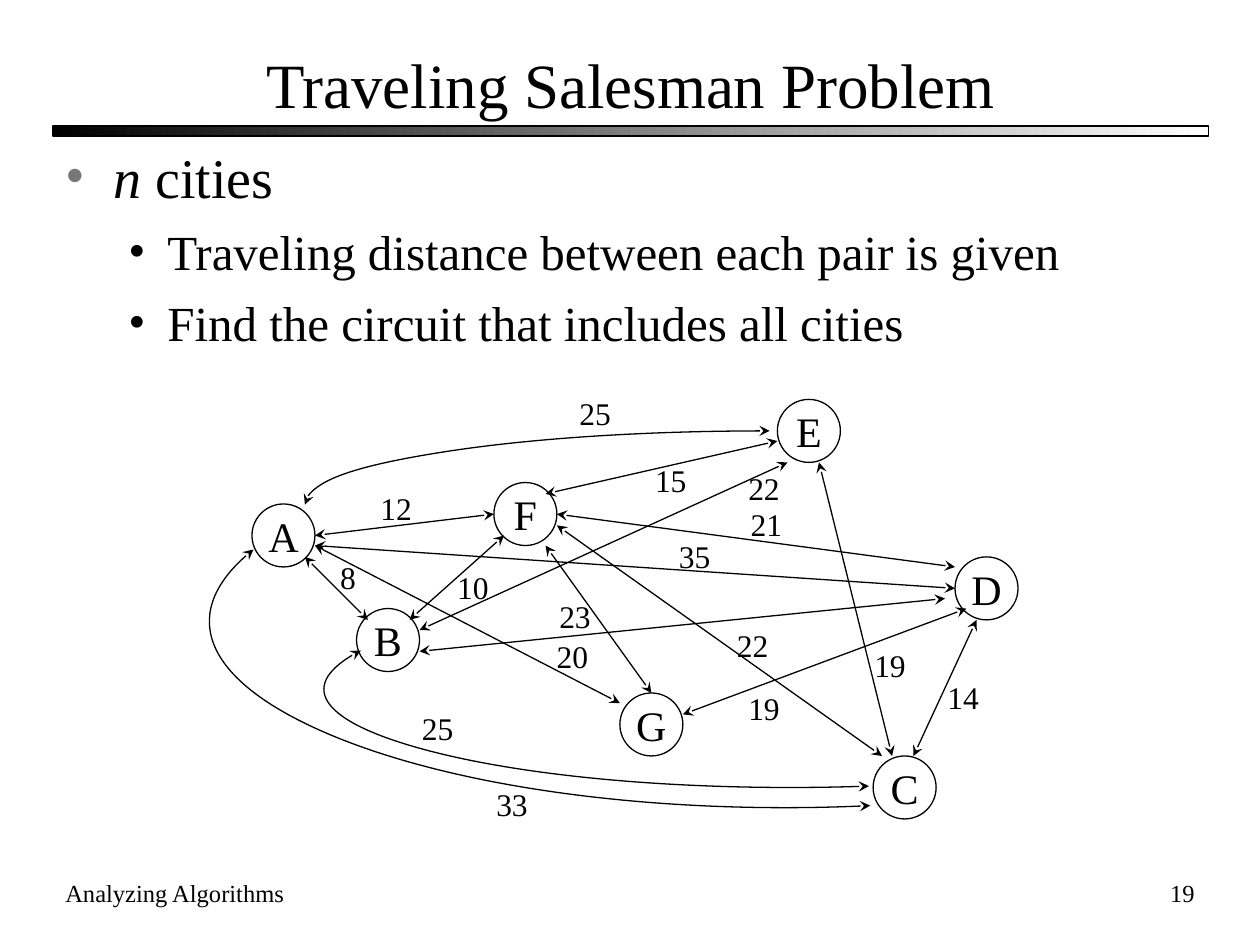
from math import cos, radians, sin, tan

from lxml import etree
from pptx import Presentation
from pptx.dml.color import RGBColor
from pptx.enum.shapes import MSO_CONNECTOR, MSO_SHAPE
from pptx.enum.text import MSO_ANCHOR, PP_ALIGN
from pptx.oxml.ns import qn
from pptx.util import Inches, Pt

STRAIGHT = MSO_CONNECTOR.STRAIGHT
OVAL, RECTANGLE = MSO_SHAPE.OVAL, MSO_SHAPE.RECTANGLE
TOP, MIDDLE = MSO_ANCHOR.TOP, MSO_ANCHOR.MIDDLE
LEFT, CENTER, RIGHT = PP_ALIGN.LEFT, PP_ALIGN.CENTER, PP_ALIGN.RIGHT

FONT = "Times New Roman"
BLACK, GREY, WHITE = "000000", "777777", "FFFFFF"
MARGIN, CONTENT_WIDTH = 0.42, 9.17
CITY_SIZE = 0.5

# Top left corner of each city
CITIES = {"A": (2, 4), "C": (6.93, 6), "D": (7.58, 4.42), "G": (4.92, 5.5),
          "B": (2.83, 4.83), "E": (6.17, 3.17), "F": (3.92, 3.83)}

# Start and end of each straight road
ROADS = [
    ((2.42, 4.42), (2.92, 4.92)),  # A-B
    ((2.5, 4.25), (3.92, 4.08)),   # A-F
    ((2.5, 4.33), (4.92, 5.58)),   # A-G
    ((2.5, 4.33), (7.58, 4.67)),   # A-D
    ((4, 4.25), (3.25, 4.92)),     # F-B
    ((4.42, 4.17), (7, 6)),        # F-C
    ((4.42, 4.08), (7.58, 4.5)),   # F-D
    ((4.33, 3.92), (6.17, 3.5)),   # F-E
    ((3.33, 5.17), (7.5, 4.75)),   # B-D
    ((3.33, 5), (6.25, 3.67)),     # B-E
    ((7.75, 4.92), (7.25, 6)),     # D-C
    ((6.5, 3.67), (7.08, 6)),      # E-C
    ((5.42, 5.67), (7.67, 4.83)),  # G-D
    ((4.33, 4.33), (5.17, 5.5)),   # F-G
]

# Ellipse box (left, top, width, height) and angles of each curved road
CURVES = [
    ((2.42, 3.42, 7.34, 1.17), (270.3, 180)),    # E-A
    ((1.67, 3.44, 9.14, 2.97), (81.6, 202.3)),   # C-A
    ((2.58, 4.68, 7.4, 1.57), (80.4, 202.6)),    # C-B
]

# Distance and the top left corner of its label
DISTANCES = [
    ("8", 2.6, 4.38), ("12", 2.92, 3.83), ("20", 4.32, 5.01),
    ("25", 4.5, 3.08), ("35", 5.29, 4.21), ("33", 3.84, 6.18),
    ("10", 3.53, 4.46), ("22", 5.75, 4.92), ("21", 5.86, 3.96),
    ("15", 5.1, 3.61), ("25", 3.25, 5.58), ("23", 4.34, 4.69),
    ("22", 5.84, 3.67), ("14", 7.42, 5.33), ("19", 6.84, 5.08),
    ("19", 5.84, 5.42),
]


def color(value):
    return RGBColor.from_string(value)


def inches(*lengths):
    return [Inches(length) for length in lengths]


def style_font(font, size):
    font.name = FONT
    font.size = Pt(size)
    font.color.rgb = color(BLACK)


def outline(shape):
    shape.line.color.rgb = color(BLACK)
    shape.line.width = Pt(0.75)


def add_text(page, text, place, size, align=LEFT, anchor=TOP, wrap=True):
    box = page.shapes.add_textbox(*inches(*place))
    frame = box.text_frame
    frame.word_wrap = wrap
    frame.vertical_anchor = anchor
    frame.text = text
    para = frame.paragraphs[0]
    para.alignment = align
    style_font(para.runs[0].font, size)


def add_bullet(para, level, margin, hanging, tint):
    para.level = level
    properties = para._p.get_or_add_pPr()
    properties.set("marL", str(Inches(margin)))
    properties.set("indent", str(-Inches(hanging)))
    bullet_color = etree.SubElement(properties, qn("a:buClr"))
    etree.SubElement(bullet_color, qn("a:srgbClr"), val=tint)
    etree.SubElement(properties, qn("a:buFont"), typeface=FONT)
    etree.SubElement(properties, qn("a:buChar"), char="•")


def add_body(page):
    box = page.shapes.add_textbox(*inches(MARGIN, 1.08, CONTENT_WIDTH, 2.25))
    frame = box.text_frame
    frame.word_wrap = True
    lead = frame.paragraphs[0]
    add_bullet(lead, 0, 0.38, 0.38, GREY)
    for text, italic in (("n ", True), ("cities", False)):
        span = lead.add_run()
        span.text = text
        style_font(span.font, 32)
        span.font.italic = italic
    for text in ("Traveling distance between each pair is given",
                 "Find the circuit that includes all cities"):
        para = frame.add_paragraph()
        para.text = text
        para.space_before = Pt(7)
        add_bullet(para, 1, 0.81, 0.31, BLACK)
        style_font(para.runs[0].font, 28)


def add_rule(page):
    bar = page.shapes.add_shape(
        RECTANGLE, *inches(MARGIN, 1, CONTENT_WIDTH, 0.08))
    bar.shadow.inherit = False
    bar.fill.gradient()
    bar.fill.gradient_angle = 180
    for stop, tint, position in zip(bar.fill.gradient_stops,
                                    (WHITE, BLACK), (0, 1)):
        stop.color.rgb = color(tint)
        stop.position = position
    outline(bar)


def add_city(page, name, left, top):
    city = page.shapes.add_shape(
        OVAL, *inches(left, top, CITY_SIZE, CITY_SIZE))
    city.shadow.inherit = False
    city.fill.background()
    outline(city)
    frame = city.text_frame
    frame.word_wrap = False
    frame.vertical_anchor = MIDDLE
    frame.text = name
    para = frame.paragraphs[0]
    para.alignment = CENTER
    style_font(para.runs[0].font, 24)


def add_arrowheads(road):
    outline(road)
    line = road.line._get_or_add_ln()
    for end in ("a:headEnd", "a:tailEnd"):
        etree.SubElement(line, qn(end), type="stealth")


def add_road(page, start, end):
    road = page.shapes.add_connector(STRAIGHT, *inches(*start, *end))
    add_arrowheads(road)
    etree.SubElement(road._element.spPr, qn("a:effectLst"))


def add_curve(page, place, angles):
    left, top, width, height = inches(*place)
    builder = page.shapes.build_freeform(left, top)
    builder.add_line_segments([(left + width, top + height)], close=False)
    curve = builder.convert_to_shape()
    curve.shadow.inherit = False
    curve.fill.background()
    add_arrowheads(curve)

    # Two Bezier pieces along the ellipse that fills the box
    outline_path = next(curve._element.iter(qn("a:path")))
    outline_path.set("fill", "none")
    for child in list(outline_path):
        outline_path.remove(child)

    def add_step(tag, *points):
        step = etree.SubElement(outline_path, qn(tag))
        for x, y in points:
            etree.SubElement(step, qn("a:pt"),
                             x=str(round(width * (1 + x) / 2)),
                             y=str(round(height * (1 + y) / 2)))

    first, last = map(radians, angles)
    sweep = (last - first) / 2
    pull = 4 / 3 * tan(sweep / 4)
    add_step("a:moveTo", (cos(first), sin(first)))
    for start in (first, first + sweep):
        end = start + sweep
        add_step("a:cubicBezTo",
                 (cos(start) - pull * sin(start),
                  sin(start) + pull * cos(start)),
                 (cos(end) + pull * sin(end), sin(end) - pull * cos(end)),
                 (cos(end), sin(end)))


def main():
    deck = Presentation()
    deck.slide_width, deck.slide_height = inches(10, 7.5)
    page = deck.slides.add_slide(deck.slide_layouts[6])

    # Heading and bullets
    add_rule(page)
    add_text(page, "Traveling Salesman Problem",
             (MARGIN, 0.33, CONTENT_WIDTH, 0.67), 36, CENTER, MIDDLE)
    add_body(page)

    # Graph of cities
    for name, corner in CITIES.items():
        add_city(page, name, *corner)
    for road in ROADS:
        add_road(page, *road)
    for curve in CURVES:
        add_curve(page, *curve)
    for distance, left, top in DISTANCES:
        width = 0.32 if len(distance) == 1 else 0.45
        add_text(page, distance, (left, top, width, 0.4), 18, wrap=False)

    # Footer
    add_text(page, "Analyzing Algorithms", (MARGIN, 6.92, 3.5, 0.5), 14)
    add_text(page, "19", (7.5, 6.92, 2.08, 0.5), 14, RIGHT)

    deck.save("out.pptx")


if __name__ == "__main__":
    main()
